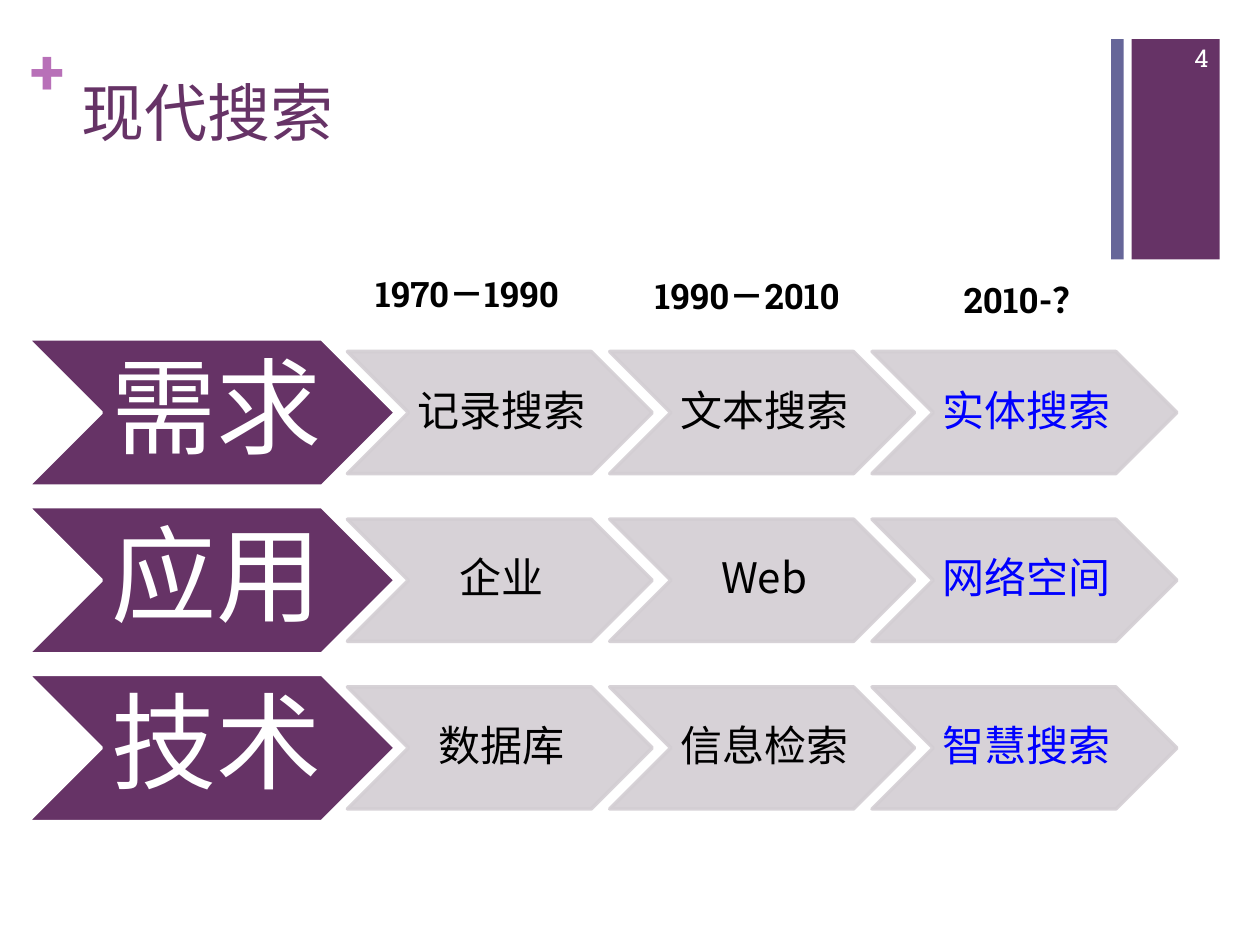
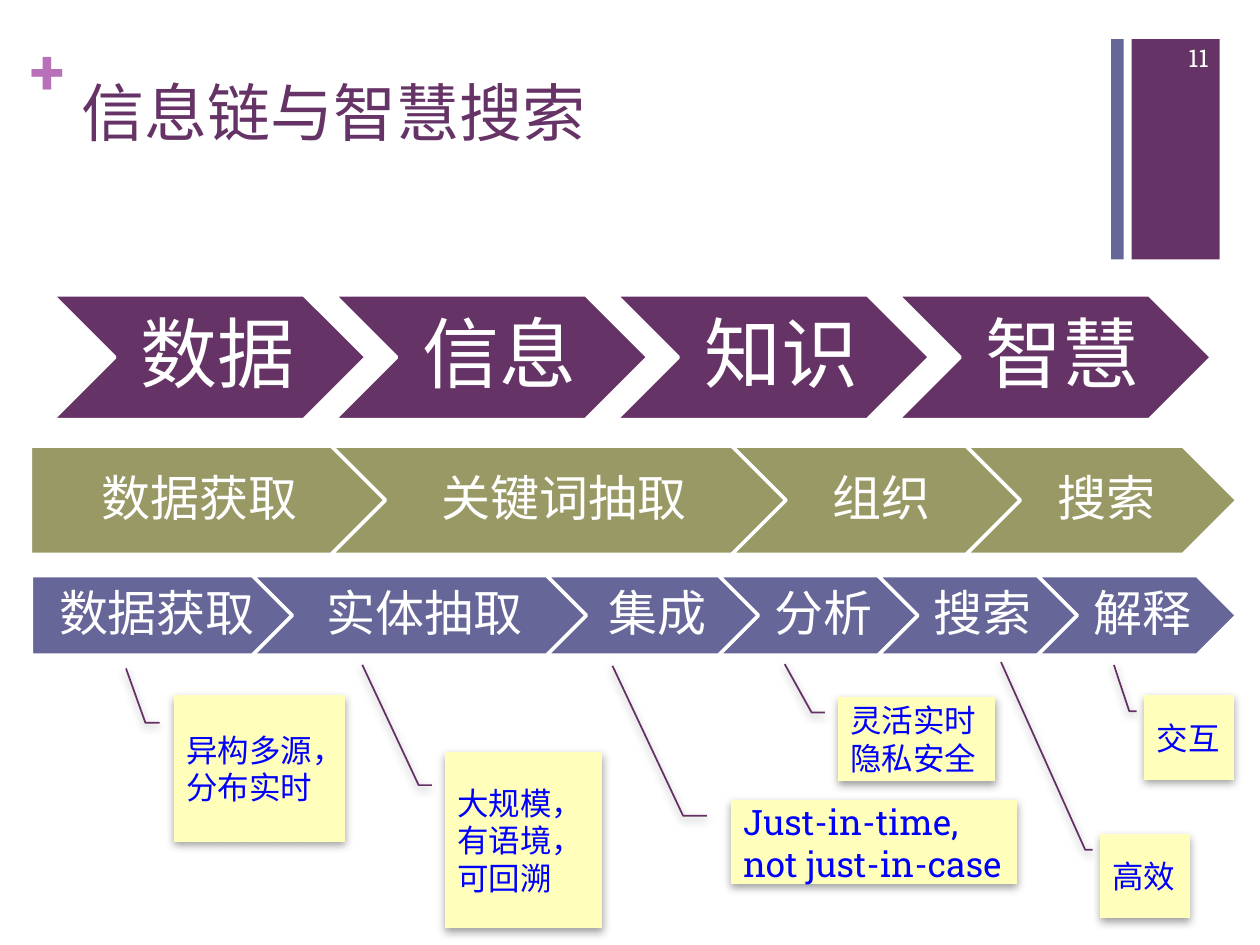
from lxml import etree
from pptx import Presentation
from pptx.dml.color import RGBColor
from pptx.enum import shapes, text
from pptx.oxml import ns
from pptx.util import Pt

COLORS = {
    "plum": "663366", "slate": "666699", "olive": "999966", "orchid": "B870B8",
    "mist": "D3CED3", "note": "FFFEBA", "leader": "653165", "shade": "808080",
    "white": "FFFFFF", "black": "000000", "blue": "0000FF",
}
SANS, SLAB = "Noto Sans CJK SC", "Roboto Slab"
KIND = shapes.MSO_SHAPE
MIDDLE, TOP = text.MSO_ANCHOR.MIDDLE, text.MSO_ANCHOR.TOP
LEFT, CENTER, RIGHT = text.PP_ALIGN.LEFT, text.PP_ALIGN.CENTER, text.PP_ALIGN.RIGHT
BOX_INSETS = (7.2, 3.6, 7.2, 3.6)

# Modern search: one row per aspect, one column per era
ASPECTS = [
    ("需求", ["记录搜索", "文本搜索", "实体搜索"]),
    ("应用", ["企业", "Web", "网络空间"]),
    ("技术", ["数据库", "信息检索", "智慧搜索"]),
]
ERAS = [  # label, left, top, width
    ("1970－1990", 207.4, 151.9, 144),
    ("1990－2010", 367.2, 153.4, 136),
    ("2010-？", 543.6, 155.5, 90.7),
]
ROWS = {"top": 193.7, "step": 95.8, "height": 84.2, "left": 15.8, "width": 210.2}
CELLS = {"left": 198.5, "step": 149.9, "height": 69.8, "width": 174.2}

# Information chain: (label, width) steps that interlock from left to right
CHAINS = [
    {"left": 30, "top": 168.5, "height": 71.3, "overlap": 18.3, "color": "plum",
     "size": 44, "first": KIND.CHEVRON, "insets": (13.7, 4.3, 4.3, 4.3),
     "steps": [(label, 179.3) for label in ("数据", "信息", "知识", "智慧")]},
    {"left": 18, "top": 329, "height": 45.4, "overlap": 22.7, "color": "slate",
     "size": 28, "first": KIND.PENTAGON, "insets": (8.6, 5.8, 2.9, 5.8),
     "steps": [("数据获取", 149), ("实体抽取", 190.8), ("集成", 121),
               ("分析", 113.8), ("搜索", 113.8), ("解释", 113.8)]},
    {"left": 17.3, "top": 254.9, "height": 61.9, "overlap": 31, "color": "olive",
     "size": 28, "first": KIND.PENTAGON, "insets": (8.6, 5.8, 2.9, 5.8),
     "steps": [("数据获取", 203), ("关键词抽取", 259.9), ("组织", 164.9), ("搜索", 154.8)]},
]
NOTES = [  # lines, (left, top, width, height), leader tip, font, size
    (["灵活实时", "隐私安全"], (478.8, 398.2, 90, 48.2), (448.4, 379.5), SANS, 18),
    (["Just-in-time,", "not just-in-case"], (417.6, 457.2, 163.4, 48.2), (350, 380.5), SLAB, 20),
    (["异构多源，分布实时"], (99.4, 397.4, 97.9, 83.5), (72, 382), SANS, 18),
    (["大规模，", "有语境，", "可回溯"], (254.2, 429.8, 90, 100.8), (207, 379.9), SANS, 18),
    (["交互"], (653.8, 397.4, 51.1, 48.2), (636.5, 380), SANS, 18),
    (["高效"], (628.6, 476.6, 51.1, 48.2), (572, 378.3), SANS, 18),
]


def rgb(color):
    return RGBColor.from_string(COLORS[color])


def write(shape, lines, size, color, font=SANS, bold=False, align=LEFT,
          anchor=TOP, insets=BOX_INSETS, wrap=True, spacing=None):
    frame = shape.text_frame
    sides = dict(zip(("margin_left", "margin_top", "margin_right", "margin_bottom"),
                     map(Pt, insets)))
    for key, value in {**sides, "word_wrap": wrap, "vertical_anchor": anchor}.items():
        setattr(frame, key, value)
    for index, line in enumerate(lines):
        paragraph = frame.paragraphs[0] if index == 0 else frame.add_paragraph()
        paragraph.alignment = align
        paragraph.line_spacing = spacing
        run = paragraph.add_run()
        run.text = line
        run.font.color.rgb = rgb(color)
        for key, value in {"size": Pt(size), "bold": bold, "name": font}.items():
            setattr(run.font, key, value)
        east_asian = etree.SubElement(run.font._element, ns.qn("a:ea"))
        east_asian.set("typeface", SANS)


def add_text(slide, box, line, size, color, **options):
    write(slide.shapes.add_textbox(*map(Pt, box)), [line], size, color, **options)


def add_block(slide, kind, box, fill, line=None, weight=2):
    block = slide.shapes.add_shape(kind, *map(Pt, box))
    block.shadow.inherit = False
    block.fill.solid()
    block.fill.fore_color.rgb = rgb(fill)
    if line:
        block.line.color.rgb = rgb(line)
        block.line.width = Pt(weight)
    else:
        block.line.fill.background()
    return block


def add_step(slide, kind, box, label, size, fill, line="white", color="white",
             font=SANS, insets=BOX_INSETS):
    """Draw one chevron or arrow block with its centred label."""
    step = add_block(slide, kind, box, fill, line)
    write(step, [label], size, color, font=font, align=CENTER, anchor=MIDDLE,
          insets=insets, wrap=False, spacing=0.9)
    return step


def set_opacity(shape, percent):
    for color in shape._element.spPr.iter(ns.qn("a:srgbClr")):
        etree.SubElement(color, ns.qn("a:alpha")).set("val", str(percent * 1000))


def add_soft_shadow(shape):
    effects = shape._element.spPr.find(ns.qn("a:effectLst"))
    shadow = etree.SubElement(effects, ns.qn("a:outerShdw"))
    for key, value in {"blurRad": Pt(5), "dist": Pt(2), "dir": 90 * 60000,
                       "rotWithShape": 0}.items():
        shadow.set(key, str(int(value)))
    color = etree.SubElement(shadow, ns.qn("a:srgbClr"))
    color.set("val", COLORS["shade"])
    etree.SubElement(color, ns.qn("a:alpha")).set("val", "75000")


def add_page(deck, title, number):
    """Add a slide with the shared bands, plus sign, title and page number."""
    slide = deck.slides.add_slide(deck.slide_layouts[6])
    add_block(slide, KIND.RECTANGLE, (646.6, 22.3, 50.4, 126), "plum")
    add_block(slide, KIND.RECTANGLE, (635, 22.3, 7.2, 126), "slate")
    add_text(slide, (17.3, 18, 20.9, 43.9), "+", 36, "orchid", font=SLAB,
             bold=True, insets=(0, 0, 0, 0))
    add_text(slide, (39.6, 38.2, 594.7, 87.8), title, 36, "plum")
    add_text(slide, (653.8, 18.7, 43.9, 28.8), number, 14, "white", font=SLAB,
             align=RIGHT, anchor=MIDDLE)
    return slide


def add_aspects(slide):
    inner = (ROWS["height"] - CELLS["height"]) / 2
    for row, (aspect, cells) in enumerate(ASPECTS):
        top = ROWS["top"] + row * ROWS["step"]
        add_step(slide, KIND.CHEVRON, (ROWS["left"], top, ROWS["width"], ROWS["height"]),
                 aspect, 60, "plum", insets=(5.8, 2.9, 0, 2.9))
        for column, cell in enumerate(cells):
            left = CELLS["left"] + column * CELLS["step"]
            latest = column == len(cells) - 1
            step = add_step(slide, KIND.CHEVRON,
                            (left, top + inner, CELLS["width"], CELLS["height"]),
                            cell, 24, "mist", line="mist",
                            color="blue" if latest else "black",
                            insets=(2.2, 1.4, 0, 1.4))
            set_opacity(step, 90)
    for era, left, top, width in ERAS:
        add_text(slide, (left, top, width, 31.7), era, 20, "black", font=SLAB,
                 bold=True, wrap=False)


def add_chain(slide, chain):
    left = chain["left"]
    for index, (label, width) in enumerate(chain["steps"]):
        add_step(slide, KIND.CHEVRON if index else chain["first"],
                 (left, chain["top"], width, chain["height"]), label, chain["size"],
                 chain["color"], font=SLAB, insets=chain["insets"])
        left += width - chain["overlap"]


def add_note(slide, lines, box, tip, font, size):
    left, top, width, height = box
    note = add_block(slide, KIND.LINE_CALLOUT_2_NO_BORDER, box, "note", "leader", 1)
    bends = (0.1875, -0.0833, 0.1875, -0.1667,
             (tip[1] - top) / height, (tip[0] - left) / width)
    for index, value in enumerate(bends):
        note.adjustments[index] = value
    add_soft_shadow(note)
    write(note, lines, size, "blue", font=font, anchor=MIDDLE)


def main():
    deck = Presentation()
    deck.slide_width, deck.slide_height = Pt(720), Pt(540)
    add_aspects(add_page(deck, "现代搜索", "4"))
    chain_slide = add_page(deck, "信息链与智慧搜索", "11")
    for chain in CHAINS:
        add_chain(chain_slide, chain)
    for note in NOTES:
        add_note(chain_slide, *note)
    deck.save("out.pptx")


if __name__ == "__main__":
    main()
